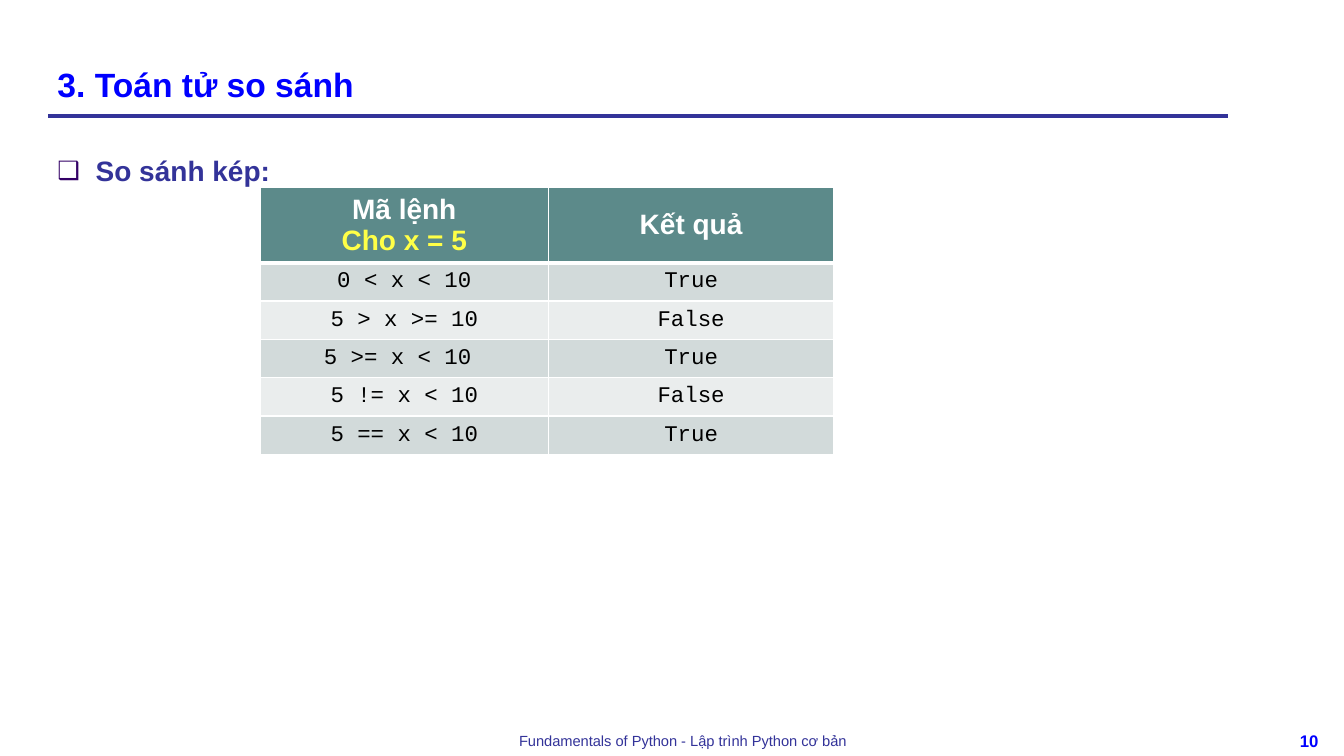
"""Build the slide on chained comparison operators in Python."""
from dataclasses import dataclass

from lxml.etree import SubElement
from pptx import Presentation
from pptx.dml.color import RGBColor as Rgb
from pptx.enum.shapes import MSO_CONNECTOR as Connector
from pptx.enum.text import MSO_ANCHOR as Anchor, PP_ALIGN as Align
from pptx.oxml import parse_xml
from pptx.oxml.ns import nsdecls, qn
from pptx.util import Inches, Pt


@dataclass(frozen=True)
class Theme:
    sans: str = "Arial"
    mono: str = "Courier New"
    title: str = "0000FF"
    indigo: str = "333399"
    bullet: str = "330066"
    white: str = "FFFFFF"
    black: str = "000000"
    given: str = "FFFF47"
    header: str = "5C8A8A"
    bands: tuple[str, str] = ("D2DADA", "EAEDED")
    title_size: float = 24
    heading_size: float = 20
    code_size: float = 16
    number_size: float = 12
    footer_size: float = 10.5


@dataclass(frozen=True)
class Label:
    text: str
    box: tuple[float, float, float, float]
    size: float
    color: str
    bold: bool = False
    align: Align = Align.CENTER


@dataclass(frozen=True)
class Comparison:
    code: str
    result: str


THEME = Theme()
HEADING = Label("So sánh kép:", (0.47, 1.31, 11.55, 5.67),
                THEME.heading_size, THEME.indigo, True, Align.LEFT)
FOOTERS = (
    Label("Fundamentals of Python - Lập trình Python cơ bản",
          (3.22, 7.21, 7.11, 0.29), THEME.footer_size, THEME.indigo),
    Label("10", (12.67, 7.2, 0.63, 0.3), THEME.number_size, THEME.title, True),
)
COMPARISONS = (
    Comparison("0 < x < 10", "True"),
    Comparison("5 > x >= 10", "False"),
    Comparison("5 >= x < 10 ", "True"),
    Comparison("5 != x < 10", "False"),
    Comparison("5 == x < 10", "True"),
)
HEADERS = ("Mã lệnh\nCho x = 5", "Kết quả")
COLUMN_WIDTHS = (2.86, 2.83)
HEADER_HEIGHT, ROW_HEIGHT = 0.71, 0.38


def style(paragraph, size: float, color: str, bold: bool = False,
          face: str = THEME.sans) -> None:
    """Format every run of a paragraph."""
    for run in paragraph.runs:
        run.font.name = face
        run.font.size = Pt(size)
        run.font.bold = bold
        run.font.color.rgb = Rgb.from_string(color)


def add_title(slide, text: str) -> None:
    """Fill and place the title placeholder."""
    title = slide.shapes.title
    title.left, title.top = Inches(0.47), Inches(0.21)
    title.width, title.height = Inches(11.55), Inches(0.87)
    title.text_frame.text = text
    title.text_frame.vertical_anchor = Anchor.BOTTOM
    paragraph = title.text_frame.paragraphs[0]
    paragraph.alignment = Align.LEFT
    style(paragraph, THEME.title_size, THEME.title, True)


def add_rule(slide) -> None:
    """Draw the line under the title."""
    rule = slide.shapes.add_connector(
        Connector.STRAIGHT, Inches(0.48), Inches(1.15), Inches(12.18), Inches(1.15))
    rule.line.color.rgb = Rgb.from_string(THEME.indigo)
    rule.line.width = Pt(3)
    SubElement(rule._element.spPr, qn("a:effectLst"))


def add_label(slide, label: Label):
    """Add a text box and return its paragraph."""
    frame = slide.shapes.add_textbox(*map(Inches, label.box)).text_frame
    frame.word_wrap = True
    frame.text = label.text
    paragraph = frame.paragraphs[0]
    paragraph.alignment = label.align
    style(paragraph, label.size, label.color, label.bold)
    return paragraph


def add_bullet(paragraph) -> None:
    """Give a paragraph the square bullet and hanging indent."""
    paragraph.line_spacing = 1.5
    props = paragraph._p.get_or_add_pPr()
    props.set("marL", str(Inches(0.38)))
    props.set("indent", str(Inches(-0.38)))
    color = SubElement(props, qn("a:buClr"))
    SubElement(color, qn("a:srgbClr"), val=THEME.bullet)
    SubElement(props, qn("a:buSzPct"), val="90000")
    SubElement(props, qn("a:buFont"), typeface=THEME.sans)
    SubElement(props, qn("a:buChar"), char="❑")


def format_cell(cell, text: str, fill: str, bottom: float = 1) -> None:
    """Write a centred cell with its fill and white borders."""
    cell.text_frame.text = text
    cell.vertical_anchor = Anchor.MIDDLE
    cell.margin_top = cell.margin_bottom = Inches(0.04)
    cell.fill.solid()
    cell.fill.fore_color.rgb = Rgb.from_string(fill)
    for paragraph in cell.text_frame.paragraphs:
        paragraph.alignment = Align.CENTER
    props = cell._tc.get_or_add_tcPr()
    for index, side in enumerate("LRTB"):
        width = Pt(bottom if side == "B" else 1)
        props.insert(index, parse_xml(
            f'<a:ln{side} {nsdecls("a")} w="{width}"><a:solidFill>'
            f'<a:srgbClr val="{THEME.white}"/></a:solidFill></a:ln{side}>'))


def add_comparisons(slide) -> None:
    """Add the table of chained comparisons."""
    height = HEADER_HEIGHT + ROW_HEIGHT * len(COMPARISONS)
    table = slide.shapes.add_table(
        len(COMPARISONS) + 1, len(HEADERS), Inches(2.58), Inches(1.86),
        Inches(sum(COLUMN_WIDTHS)), Inches(height)).table
    for column, width in zip(table.columns, COLUMN_WIDTHS):
        column.width = Inches(width)
    for index, row in enumerate(table.rows):
        row.height = Inches(ROW_HEIGHT if index else HEADER_HEIGHT)
    for column, header in enumerate(HEADERS):
        cell = table.cell(0, column)
        format_cell(cell, header, THEME.header, bottom=3)
        for paragraph, color in zip(cell.text_frame.paragraphs,
                                    (THEME.white, THEME.given)):
            style(paragraph, THEME.heading_size, color, True)
    for index, comparison in enumerate(COMPARISONS):
        for column, text in enumerate((comparison.code, comparison.result)):
            cell = table.cell(index + 1, column)
            format_cell(cell, text, THEME.bands[index % 2])
            if index == 0:
                props = cell._tc.get_or_add_tcPr()
                props.find(qn("a:lnT")).set("w", str(Pt(3)))
            style(cell.text_frame.paragraphs[0], THEME.code_size, THEME.black,
                  face=THEME.mono)


def main() -> None:
    """Assemble and save the slide."""
    deck = Presentation()
    deck.slide_width, deck.slide_height = Inches(13.33), Inches(7.5)
    slide = deck.slides.add_slide(deck.slide_layouts[5])
    add_rule(slide)
    for footer in FOOTERS:
        add_label(slide, footer)
    add_title(slide, "3. Toán tử so sánh")
    add_bullet(add_label(slide, HEADING))
    add_comparisons(slide)
    deck.save("out.pptx")


if __name__ == "__main__":
    main()
